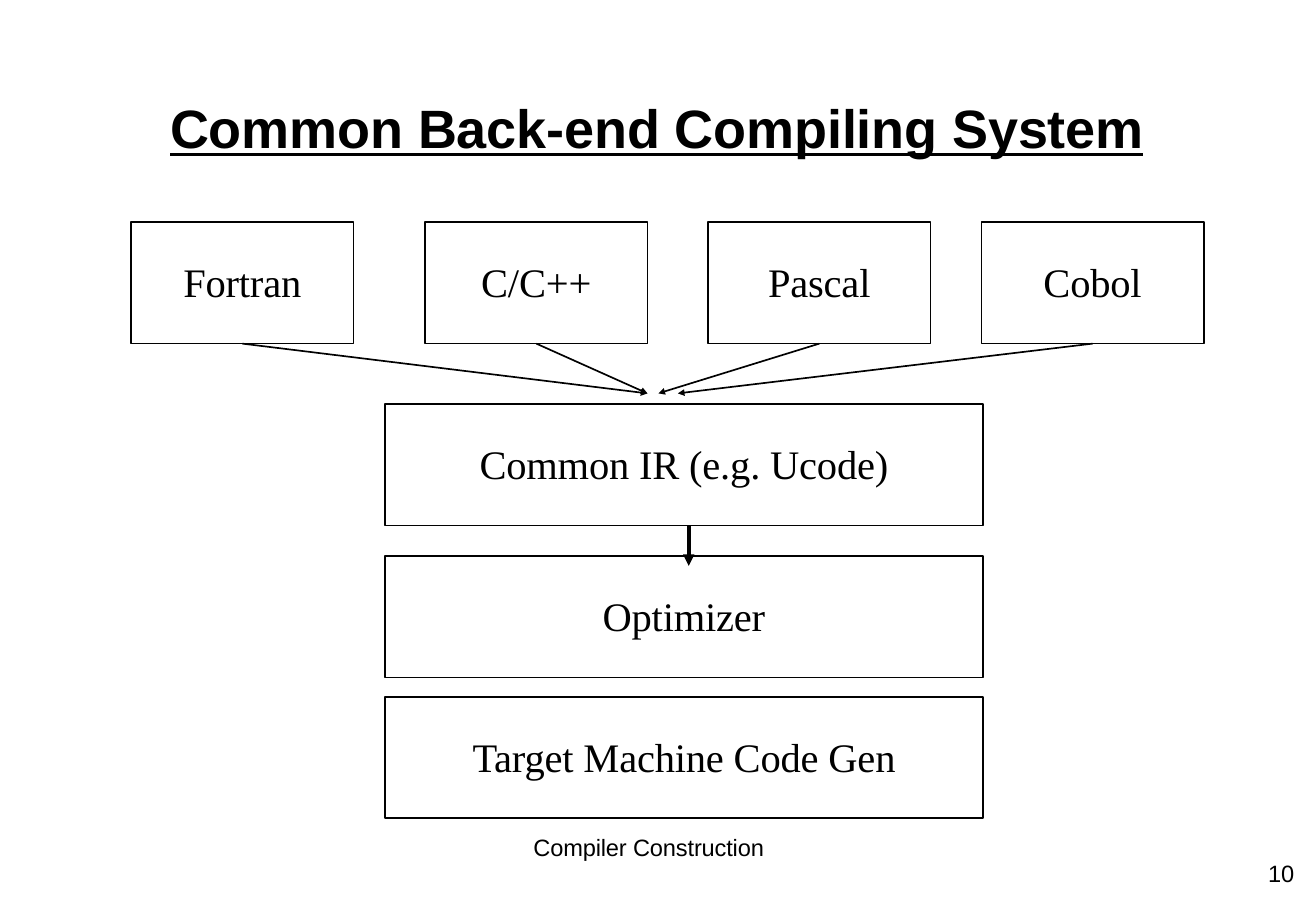
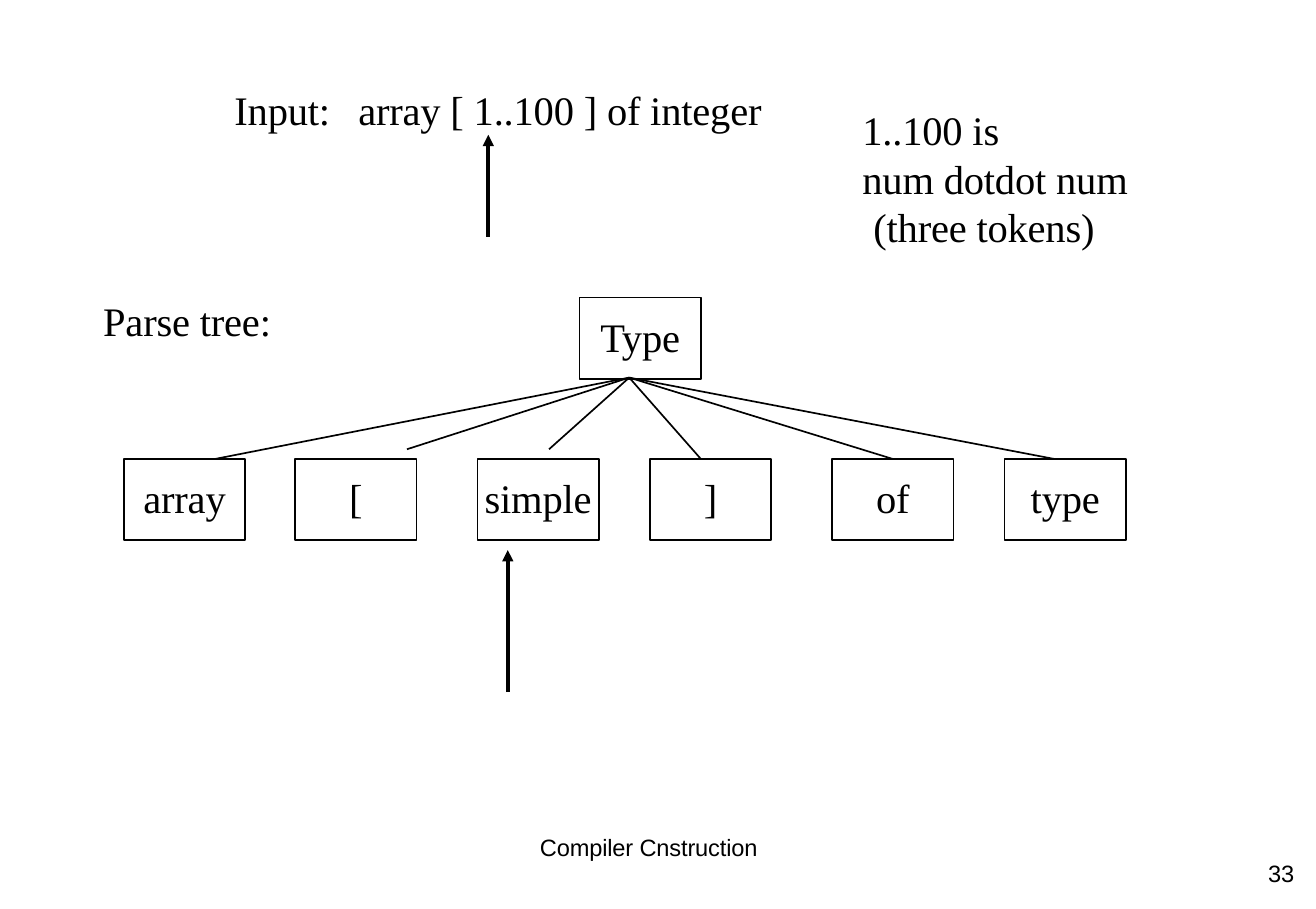
from lxml import etree
from pptx import Presentation
from pptx.dml.color import RGBColor
from pptx.enum.shapes import MSO_CONNECTOR as CONN, MSO_SHAPE as SHAPE
from pptx.enum.text import MSO_ANCHOR as ANCHOR, MSO_AUTO_SIZE as AUTO, PP_ALIGN as ALIGN
from pptx.oxml.ns import qn
from pptx.util import Inches, Pt

SLIDE_W, SLIDE_H = Inches(780 / 72), Inches(539 / 72)
COLORS = {"text": "000000", "line": "010101"}
BODY = {"name": "Times New Roman", "size": Pt(24), "bold": False}
HEADING = {"name": "Arial", "size": Pt(32), "bold": True, "underline": True}
SMALL = {"name": "Arial", "size": Pt(14)}
THIN, THICK = 1, 2.25
HEAD_SIZES = {THIN: "sm", THICK: "med"}

# Compiling system: box width and height, then (left, text) or (top, text)
LANG_TOP, LANG_W, STAGE_LEFT, STAGE_W, BOX_H = 1.83, 1.83, 3.17, 4.92, 1
LANGUAGES = [(1.08, "Fortran"), (3.5, "C/C++"), (5.83, "Pascal"), (8.08, "Cobol")]
STAGES = [(3.33, "Common IR (e.g. Ucode)"), (4.58, "Optimizer"),
          (5.74, "Target Machine Code Gen")]
ARROW_TIPS = [5.33, 5.33, 5.42, 5.58]
TIP_Y = 3.24
STAGE_ARROW = (5.67, 4.33, 5.67, 4.66)

# Parse tree: (left, text, branch end x, branch end y)
NODE_W, NODE_H, LEAF_TOP = 1, 0.67, 3.78
ROOT = (4.77, 2.45, "Type")
BRANCH_START = (5.18, 3.11)
LEAVES = [(1.02, "array", 1.77, 3.78), (2.43, "[", 3.35, 3.7),
          (3.93, "simple", 4.52, 3.7), (5.35, "]", 5.77, 3.78),
          (6.85, "of", 7.35, 3.78), (8.27, "type", 8.68, 3.78)]
POINTERS = [(4.02, 1.95, 4.02, 1.11), (4.18, 5.7, 4.18, 4.53)]
TOKEN_NOTE = [("1..100 is", 0), ("num dotdot num", 0), ("(three tokens)", 0.09)]


def color(name):
    return RGBColor.from_string(COLORS[name])


def set_frame(tf, anchor=ANCHOR.TOP, bottom=0):
    frame = {"word_wrap": True, "auto_size": AUTO.NONE, "vertical_anchor": anchor,
             "margin_left": 0, "margin_top": 0, "margin_right": 0,
             "margin_bottom": Inches(bottom)}
    for key, value in frame.items():
        setattr(tf, key, value)


def write(p, text, style, align=ALIGN.LEFT):
    p.alignment = align
    r = p.add_run()
    r.text = text
    for key, value in style.items():
        setattr(r.font, key, value)
    r.font.color.rgb = color("text")
    r._r.get_or_add_rPr().set("spc", "-10")


def add_text(s, at, text, style, align=ALIGN.LEFT):
    tf = s.shapes.add_textbox(*map(Inches, at)).text_frame
    set_frame(tf)
    write(tf.paragraphs[0], text, style, align)
    return tf


def add_box(s, at, text):
    sp = s.shapes.add_shape(SHAPE.RECTANGLE, *map(Inches, at))
    sp.shadow.inherit = False
    sp.fill.background()
    sp.line.color.rgb = color("line")
    sp.line.width = Pt(THIN)
    set_frame(sp.text_frame, ANCHOR.MIDDLE, 0.03)
    write(sp.text_frame.paragraphs[0], text, BODY, ALIGN.CENTER)


def add_line(s, ends, width=THIN, arrow=True):
    cn = s.shapes.add_connector(CONN.STRAIGHT, *map(Inches, ends))
    cn.line.color.rgb = color("line")
    cn.line.width = Pt(width)
    if arrow:
        size = HEAD_SIZES[width]
        etree.SubElement(cn.line._get_or_add_ln(), qn("a:tailEnd"),
                         type="triangle", w=size, len=size)
    etree.SubElement(cn._element.spPr, qn("a:effectLst"))


def add_slide(prs, title, title_at, style, footer, number):
    """Add a slide with its title, footer and number; return it with the title paragraph."""
    s = prs.slides.add_slide(prs.slide_layouts[5])
    sp = s.shapes.title
    sp.left, sp.top, sp.width, sp.height = map(Inches, title_at)
    set_frame(sp.text_frame)
    p = sp.text_frame.paragraphs[0]
    write(p, title, style)
    add_text(s, (3.84, 6.86, 3, 0.25), footer, SMALL, ALIGN.CENTER)
    add_text(s, (10.44, 7.07, 0.35, 0.25), number, SMALL)
    return s, p


def build_system(prs):
    s, _ = add_slide(prs, "Common Back-end Compiling System", (1.4, 0.78, 8.4, 0.56),
                     HEADING, "Compiler Construction", "10")
    for (left, text), tip in zip(LANGUAGES, ARROW_TIPS):
        add_box(s, (left, LANG_TOP, LANG_W, BOX_H), text)
        add_line(s, (left + LANG_W / 2, LANG_TOP + BOX_H, tip, TIP_Y))
    for top, text in STAGES:
        add_box(s, (STAGE_LEFT, top, STAGE_W, BOX_H), text)
    add_line(s, STAGE_ARROW, THICK)


def build_tree(prs):
    s, p = add_slide(prs, "Input:\tarray [ 1..100 ] of integer", (1.93, 0.7, 4.8, 0.43),
                     BODY, "Compiler Cnstruction", "33")
    tabs = etree.SubElement(p._p.get_or_add_pPr(), qn("a:tabLst"))
    etree.SubElement(tabs, qn("a:tab"), pos=str(Inches(1.02)), algn="l")
    add_text(s, (0.85, 2.44, 1.6, 0.43), "Parse tree:", BODY)

    left, top, text = ROOT
    add_box(s, (left, top, NODE_W, NODE_H), text)
    for left, text, x, y in LEAVES:
        add_box(s, (left, LEAF_TOP, NODE_W, NODE_H), text)
        add_line(s, (*BRANCH_START, x, y), arrow=False)
    for ends in POINTERS:
        add_line(s, ends, THICK)

    (first, _), *others = TOKEN_NOTE
    tf = add_text(s, (7.1, 0.86, 2.5, 1.23), first, BODY)
    for text, indent in others:
        p = tf.add_paragraph()
        write(p, text, BODY)
        p._p.get_or_add_pPr().set("marL", str(Inches(indent)))
    for p in tf.paragraphs:
        p.line_spacing = Pt(29)


def main():
    prs = Presentation()
    prs.slide_width = SLIDE_W
    prs.slide_height = SLIDE_H
    build_system(prs)
    build_tree(prs)
    prs.save("out.pptx")


if __name__ == "__main__":
    main()
